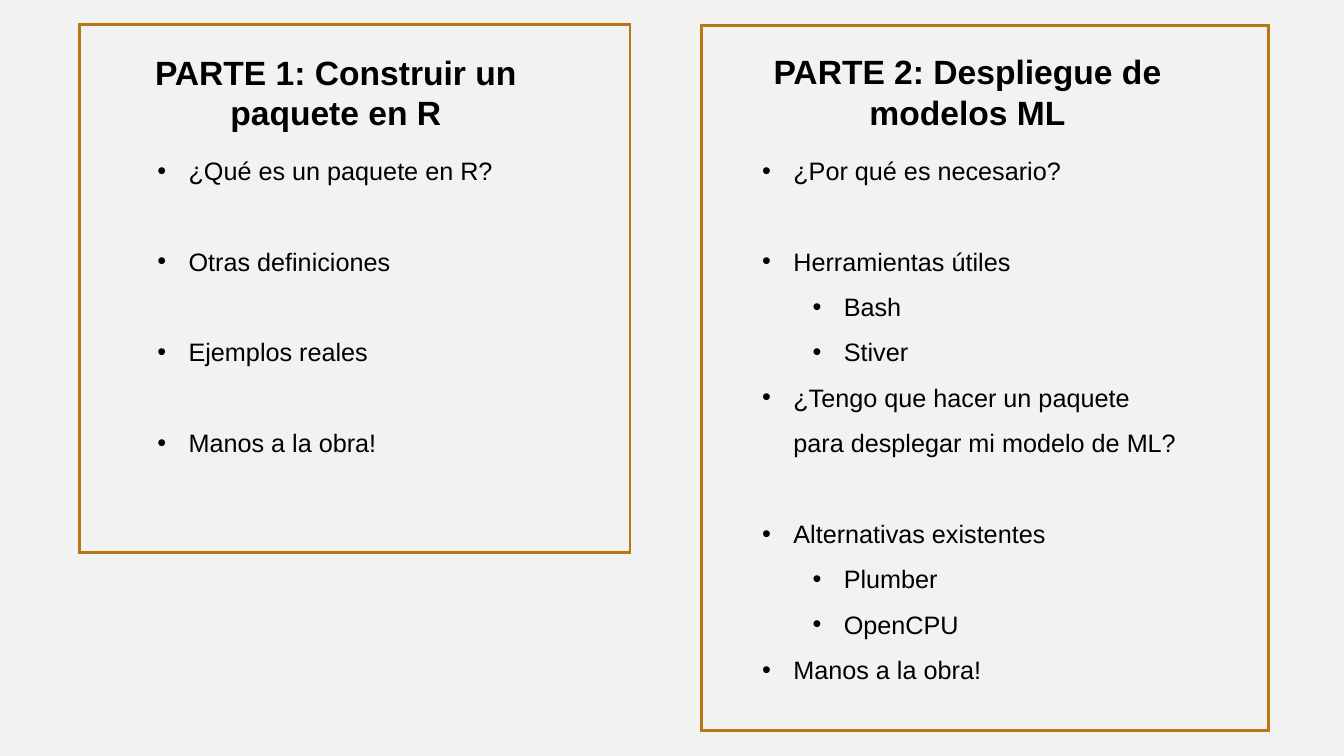
from lxml import etree
from pptx import Presentation
from pptx import util as u
from pptx.dml.color import RGBColor
from pptx.enum import shapes, text
from pptx.oxml import parse_xml
from pptx.oxml.ns import nsdecls, qn

COLORS = {"background": "F2F2F2", "frame": "B67815", "ink": "000000"}

# Each item: text, indent level, whether an empty line's height precedes it
PART_1 = [
    ("¿Qué es un paquete en R?", 0, False),
    ("Otras definiciones", 0, True),
    ("Ejemplos reales", 0, True),
    ("Manos a la obra!", 0, True),
]
PART_2 = [
    ("¿Por qué es necesario?", 0, False),
    ("Herramientas útiles", 0, True),
    ("Bash", 1, False),
    ("Stiver", 1, False),
    ("¿Tengo que hacer un paquete para desplegar mi modelo de ML?", 0, False),
    ("Alternativas existentes", 0, True),
    ("Plumber", 1, False),
    ("OpenCPU", 1, False),
    ("Manos a la obra!", 0, False),
]


class AgendaSlide:
    """Style and current slide; positions are cells of a 160 x 90 grid."""

    font = "Arial"
    heading_size = 24
    item_size = 18
    item_gap = 32.4

    def __init__(self, deck):
        self.cell = deck.slide_width / 160
        self.page = deck.slides.add_slide(deck.slide_layouts[6])
        fill = self.page.background.fill
        fill.solid()
        fill.fore_color.rgb = self.color("background")

    def color(self, name):
        return RGBColor.from_string(COLORS[name])

    def place(self, *cells):
        return [u.Emu(round(cell * self.cell)) for cell in cells]

    def textbox(self, *cells):
        box = self.page.shapes.add_textbox(*self.place(*cells))
        box.text_frame.word_wrap = True
        return box.text_frame

    def add_run(self, para, words, size, bold=False):
        span = para.add_run()
        span.text = words
        span.font.name = self.font
        span.font.size = u.Pt(size)
        span.font.bold = bold
        span.font.color.rgb = self.color("ink")

    def frame(self, *cells):
        box = self.page.shapes.add_shape(shapes.MSO_SHAPE.RECTANGLE, *self.place(*cells))
        box.shadow.inherit = False
        box.fill.background()
        box.line.color.rgb = self.color("frame")
        box.line.width = u.Pt(2)
        # Square corners
        outline = box._element.spPr.find(qn("a:ln"))
        etree.SubElement(outline, qn("a:miter")).set("lim", "800000")

    def heading(self, words, *cells):
        para = self.textbox(*cells).paragraphs[0]
        para.alignment = text.PP_ALIGN.CENTER
        self.add_run(para, words, self.heading_size, bold=True)

    def bullets(self, items, *cells):
        body = self.textbox(*cells)
        body.margin_right = u.Inches(0.5)
        for index, (words, level, gap) in enumerate(items):
            para = body.add_paragraph() if index else body.paragraphs[0]
            para.level = level + 1
            para.line_spacing = 1.5
            para.space_before = u.Pt(self.item_gap if gap else 0)
            self.add_run(para, words, self.item_size)
            # Hanging bullet
            props = para._p.get_or_add_pPr()
            props.set("marL", str(u.Inches(0.81 + 0.5 * level)))
            props.set("indent", str(u.Inches(-0.31)))
            props.append(parse_xml(f'<a:buFont {nsdecls("a")} typeface="{self.font}"/>'))
            props.append(parse_xml(f'<a:buChar {nsdecls("a")} char="•"/>'))


def main():
    deck = Presentation()
    deck.slide_width, deck.slide_height = u.Inches(13.33), u.Inches(7.5)
    agenda = AgendaSlide(deck)

    # Bulleted contents
    agenda.bullets(PART_2, 83.55, 16.1, 63.25, 70)
    agenda.bullets(PART_1, 11.55, 16.1, 63.5, 48)

    # Headings
    agenda.heading("PARTE 1: Construir un paquete en R", 12.55, 5.55, 54.85, 12)
    agenda.heading("PARTE 2: Despliegue de modelos ML", 87.75, 5.5, 54.85, 12)

    # Frames
    agenda.frame(9.5, 2.9, 65.5, 62.9)
    agenda.frame(83.5, 3, 67.5, 84)

    deck.save("out.pptx")


if __name__ == "__main__":
    main()
